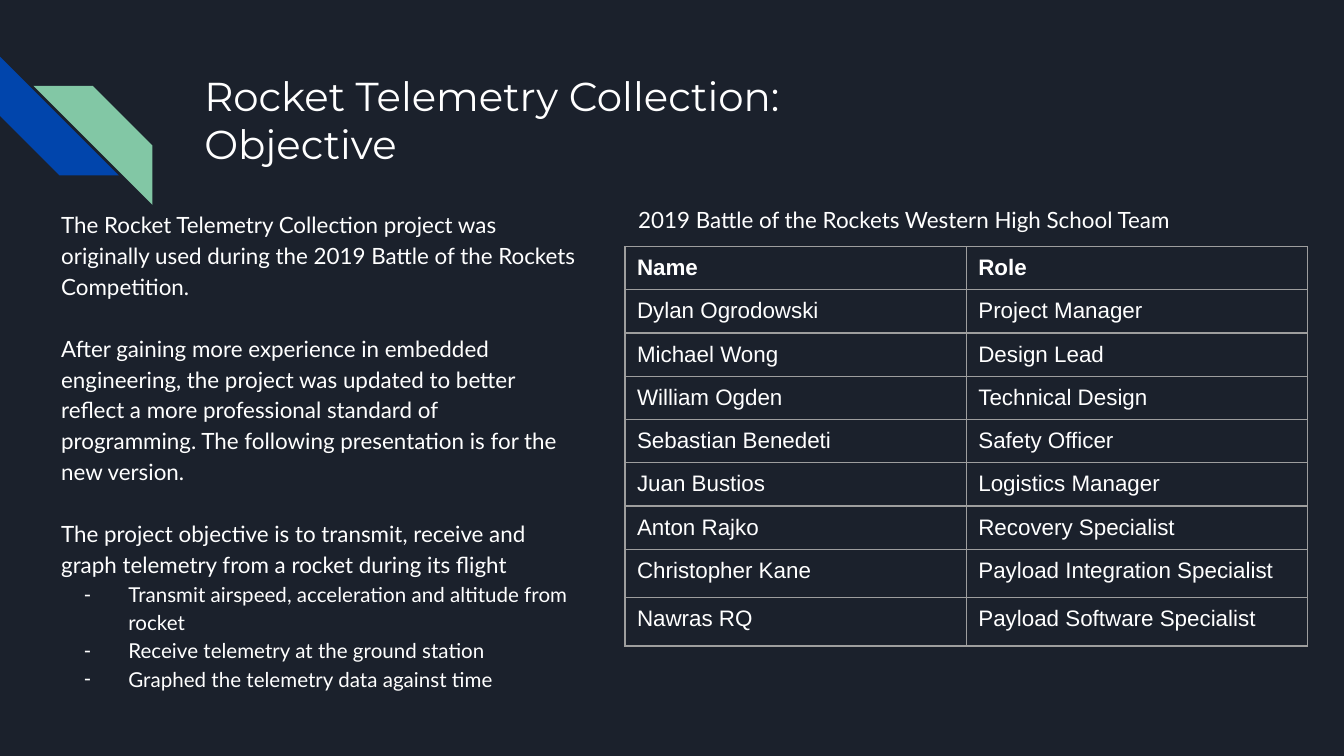
import pptx
import pptx.util
import pptx.dml.color
import pptx.enum.shapes
import pptx.enum.text
import pptx.oxml
import pptx.oxml.ns

COLORS = {"back": "1B212C", "blue": "0145AC", "green": "82C7A5",
          "text": "FFFFFF", "line": "9E9E9E"}
COLS, ROWS = 100, 56.25
NS = pptx.oxml.ns.nsdecls("a")

TEAM = [
    ("Name", "Role"),
    ("Dylan Ogrodowski", "Project Manager"),
    ("Michael Wong", "Design Lead"),
    ("William Ogden", "Technical Design"),
    ("Sebastian Benedeti", "Safety Officer"),
    ("Juan Bustios", "Logistics Manager"),
    ("Anton Rajko", "Recovery Specialist"),
    ("Christopher Kane", "Payload Integration Specialist"),
    ("Nawras RQ", "Payload Software Specialist"),
]
STORY = [
    "The Rocket Telemetry Collection project was originally used during "
    "the 2019 Battle of the Rockets Competition.",
    "After gaining more experience in embedded engineering, the project was "
    "updated to better reflect a more professional standard of programming. "
    "The following presentation is for the new version.",
    "The project objective is to transmit, receive and graph telemetry from "
    "a rocket during its flight",
]
GOALS = [
    "Transmit airspeed, acceleration and altitude from rocket",
    "Receive telemetry at the ground station",
    "Graphed the telemetry data against time",
]


def color(name):
    return pptx.dml.color.RGBColor.from_string(COLORS[name])


class Deck:
    def __init__(self):
        self.show = pptx.Presentation()
        self.show.slide_width = pptx.util.Inches(10)
        self.show.slide_height = self.show.slide_width * 9 // 16
        self.slide = self.show.slides.add_slide(self.show.slide_layouts[1])
        fill = self.slide.background.fill
        fill.solid()
        fill.fore_color.rgb = color("back")

    def across(self, cols):
        return round(self.show.slide_width * cols / COLS)

    def down(self, rows):
        return round(self.show.slide_height * rows / ROWS)

    def area(self, left, top, width, height):
        return (self.across(left), self.down(top),
                self.across(width), self.down(height))

    def style(self, para, font, size, bold=False):
        para.alignment = pptx.enum.text.PP_ALIGN.LEFT
        para.font.name = font
        para.font.size = pptx.util.Pt(size)
        para.font.bold = bold
        para.font.color.rgb = color("text")

    def frame(self, shape, box):
        shape.left, shape.top, shape.width, shape.height = self.area(*box)
        frame = shape.text_frame
        frame.word_wrap = True
        frame.auto_size = pptx.enum.text.MSO_AUTO_SIZE.NONE
        frame.vertical_anchor = pptx.enum.text.MSO_ANCHOR.TOP
        frame.margin_left = frame.margin_right = self.across(1)
        frame.margin_top = frame.margin_bottom = self.down(1)
        return frame

    def title(self, text, box):
        frame = self.frame(self.slide.shapes.title, box)
        frame.text = text
        for para in frame.paragraphs:
            self.style(para, "Montserrat", 21.6)

    def label(self, text, box):
        shape = self.slide.shapes.add_textbox(*self.area(*box))
        frame = self.frame(shape, box)
        frame.text = text
        self.style(frame.paragraphs[0], "Lato", 12)

    def body(self, story, goals, box):
        frame = self.frame(self.slide.placeholders[1], box)
        frame.text = "\n".join(story + goals)
        for i, para in enumerate(frame.paragraphs):
            goal = i >= len(story)
            para.line_spacing = 1.15
            para.space_before = pptx.util.Pt(0 if goal or i == 0 else 16.6)
            self.bullet(para, goal)
            self.style(para, "Lato", 11 if goal else 12)

    def bullet(self, para, shown):
        props = para._p.get_or_add_pPr()
        props.set("marL", str(self.across(5) if shown else 0))
        props.set("indent", str(self.across(-3.3) if shown else 0))
        if shown:
            marks = [f'<a:buClr {NS}><a:srgbClr val="{COLORS["text"]}"/></a:buClr>',
                     f'<a:buChar {NS} char="-"/>']
        else:
            marks = [f"<a:buNone {NS}/>"]
        for mark in marks:
            props.append(pptx.oxml.parse_xml(mark))

    def stripe(self, fill, box, turn=0, flip=False):
        kind = pptx.enum.shapes.MSO_SHAPE.DIAGONAL_STRIPE
        shape = self.slide.shapes.add_shape(kind, *self.area(*box))
        shape.shadow.inherit = False
        shape.rotation = turn
        if flip:
            shape._element.spPr.xfrm.set("flipH", "1")
        shape.fill.solid()
        shape.fill.fore_color.rgb = color(fill)
        shape.line.fill.background()

    def table(self, data, left, top, width, heights):
        place = self.area(left, top, width * len(data[0]), sum(heights))
        table = self.slide.shapes.add_table(len(data), len(data[0]), *place).table
        table.first_row = table.horz_banding = False
        for col in table.columns:
            col.width = self.across(width)
        for r, (names, height) in enumerate(zip(data, heights)):
            table.rows[r].height = self.down(height)
            for c, name in enumerate(names):
                self.cell(table.cell(r, c), name, r == 0)

    def cell(self, cell, text, bold):
        cell.text = text
        cell.margin_left = cell.margin_right = self.across(0.9)
        cell.margin_top = cell.margin_bottom = self.down(0.65)
        props = cell._tc.get_or_add_tcPr()
        for side in "LRTB":
            props.append(pptx.oxml.parse_xml(
                f'<a:ln{side} {NS} w="{pptx.util.Pt(0.75)}"><a:solidFill>'
                f'<a:srgbClr val="{COLORS["line"]}"/></a:solidFill></a:ln{side}>'))
        cell.fill.background()
        self.style(cell.text_frame.paragraphs[0], "Arial", 12, bold)


def main():
    deck = Deck()
    deck.stripe("blue", (0, 4.2, 8.85, 8.85), turn=270)
    deck.stripe("green", (2.5, 6.4, 8.85, 8.85), flip=True)
    deck.title("Rocket Telemetry Collection:\nObjective", (14.2, 4.3, 77, 10))
    deck.table(TEAM, 46.5, 18.35, 25.4, [3.22] * 7 + [3.6] * 2)
    deck.body(STORY, GOALS, (3.55, 14.4, 40.5, 38.4))
    deck.label("2019 Battle of the Rockets Western High School Team",
               (46.5, 14.35, 55.5, 4))
    deck.show.save("out.pptx")


if __name__ == "__main__":
    main()
